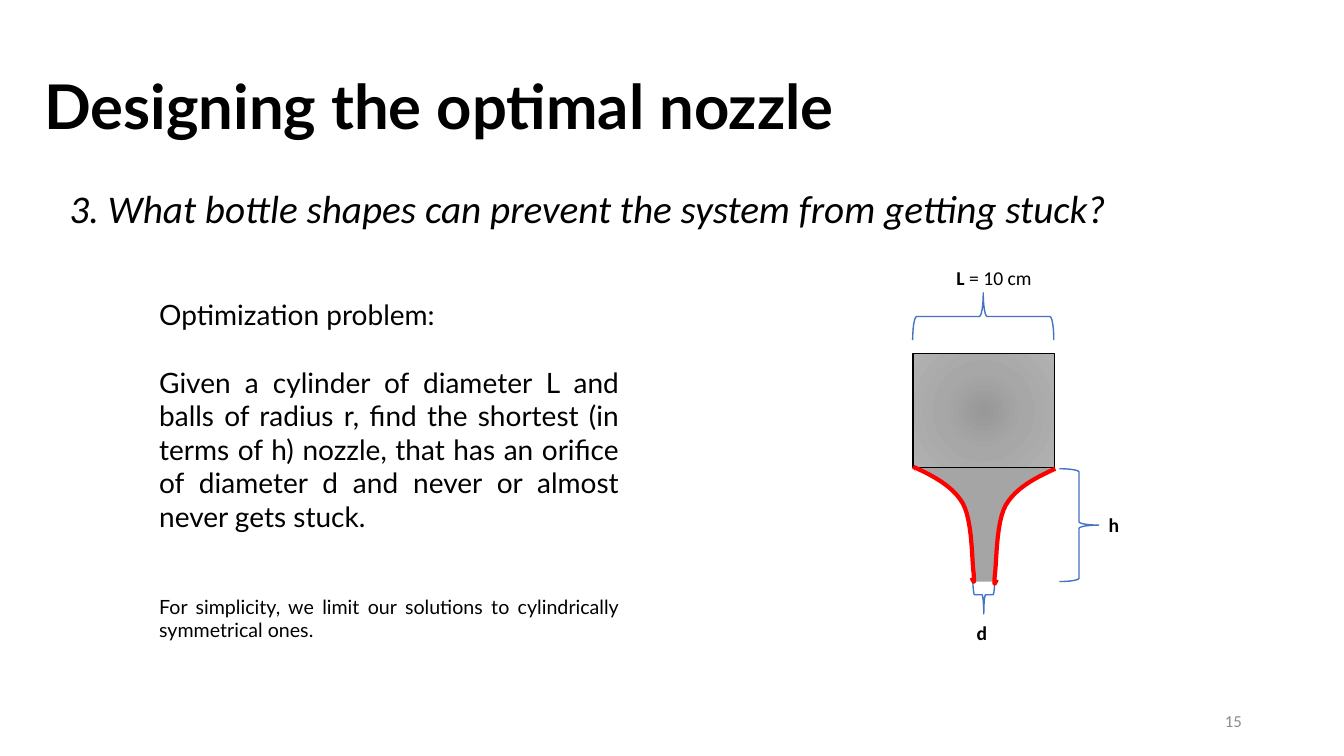
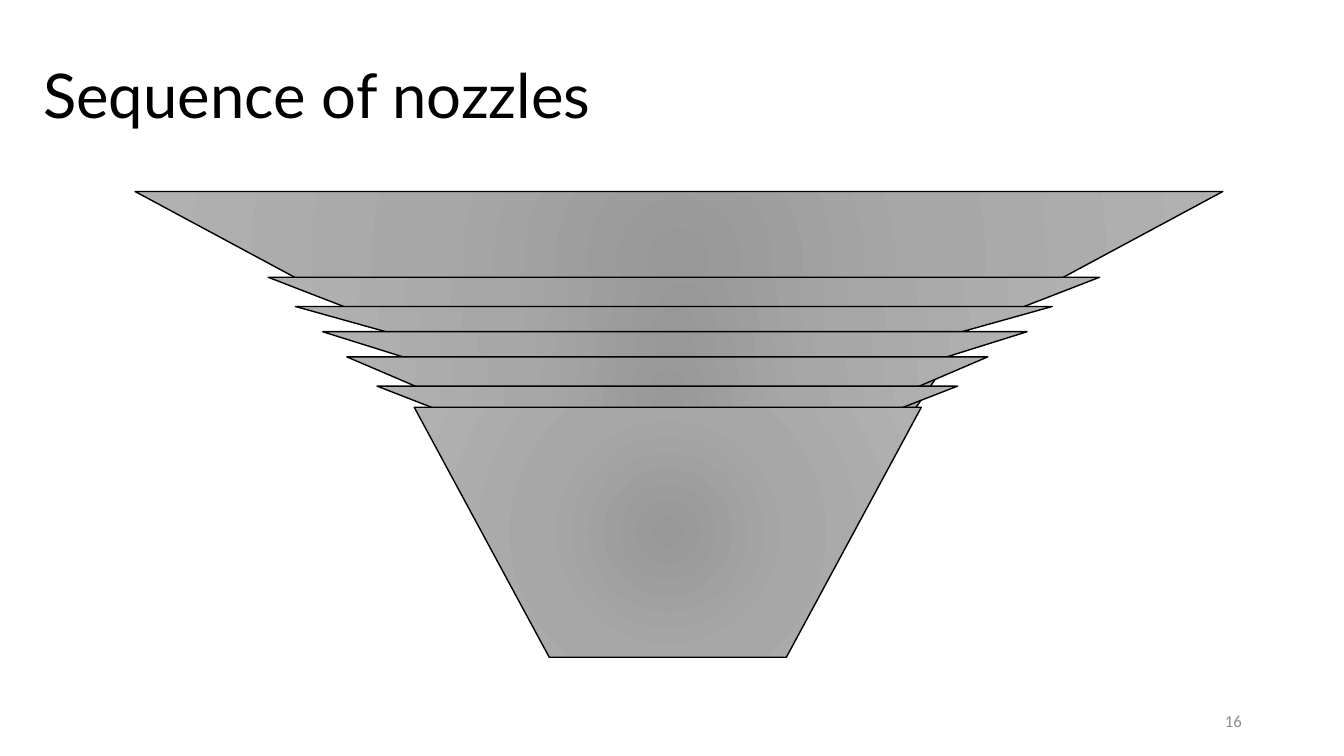
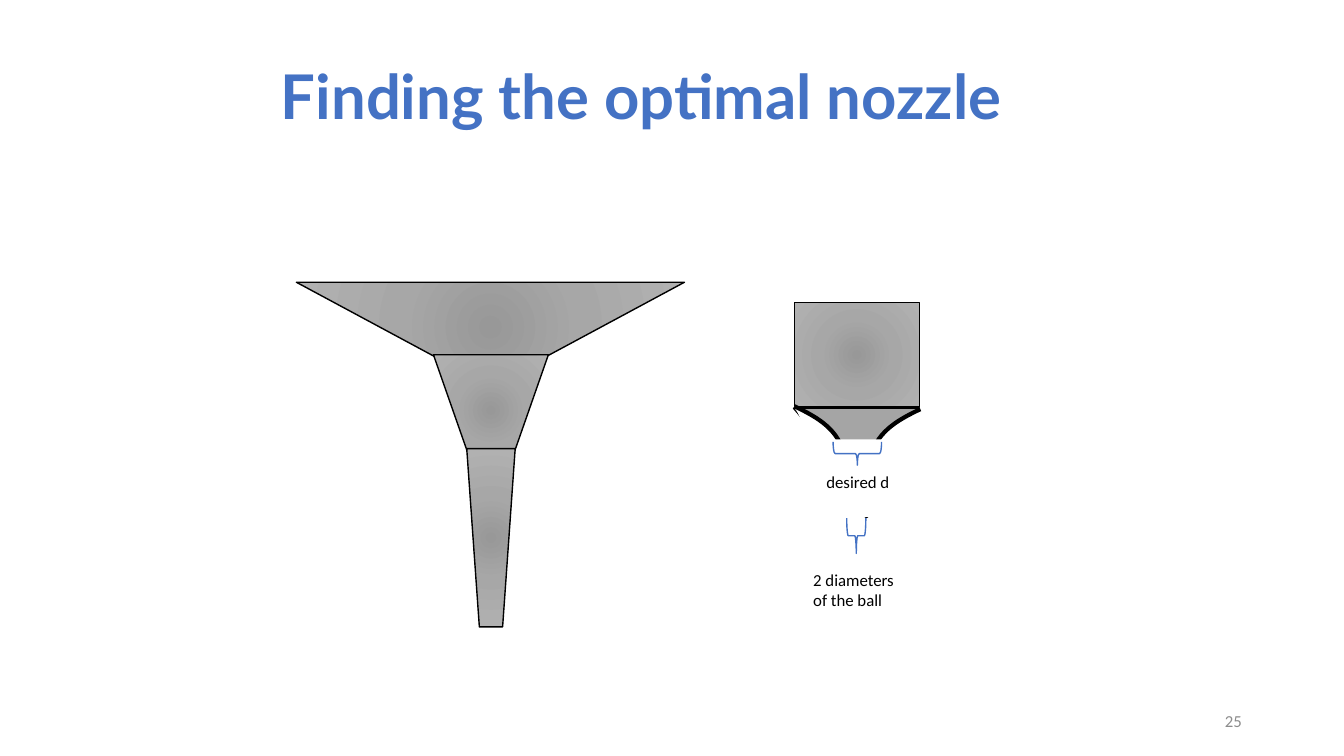
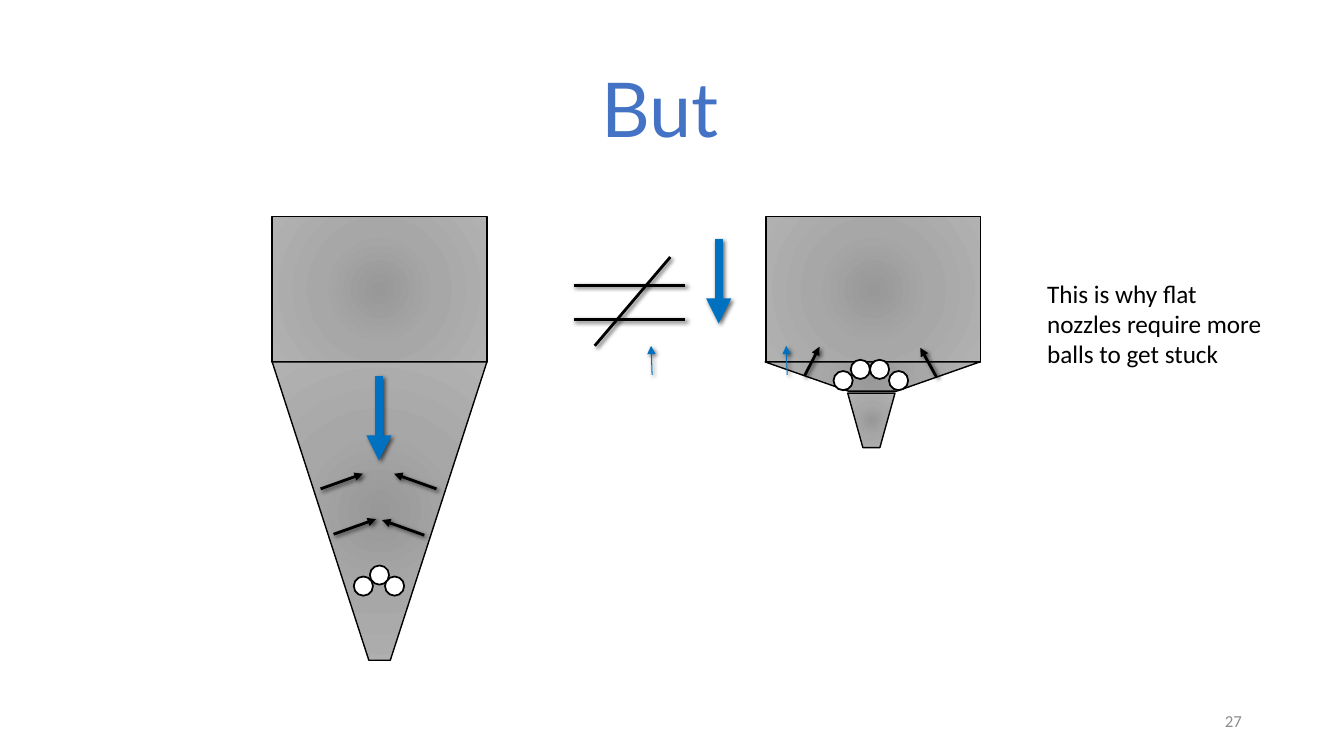
"""Build four slides on finding the optimal nozzle shape."""
from lxml import etree
from pptx import Presentation
from pptx.dml.color import RGBColor
from pptx.enum import shapes, text
from pptx.oxml import ns, parse_xml
from pptx.util import Pt

COLORS = {
    "ink": "000000", "white": "FFFFFF", "accent": "4472C4", "gray": "A5A5A5",
    "number": "8C8C8C", "red": "FF0000", "force": "0070C0",
}
STEEL_STOPS = {0: "989898", 45000: "A7A7A7", 100000: "B1B1B1"}
STEEL = (
    f'<a:gradFill {ns.nsdecls("a")} rotWithShape="1"><a:gsLst>'
    + "".join(f'<a:gs pos="{pos}"><a:srgbClr val="{tone}"/></a:gs>' for pos, tone in STEEL_STOPS.items())
    + '</a:gsLst><a:path path="circle"><a:fillToRect l="50000" t="50000" r="50000" b="50000"/></a:path></a:gradFill>'
)
SHADOW = (
    f'<a:effectLst {ns.nsdecls("a")}><a:outerShdw blurRad="38100" dist="25400" dir="2700000">'
    f'<a:srgbClr val="{COLORS["ink"]}"><a:alpha val="60000"/></a:srgbClr></a:outerShdw></a:effectLst>'
)
KIND = shapes.MSO_SHAPE
ALIGN = text.PP_ALIGN
ANCHOR = text.MSO_ANCHOR


def write(slide, box, lines, size, font="Calibri", color="ink", bold=False, italic=False,
          align=ALIGN.LEFT, anchor=ANCHOR.TOP, leading=None):
    frame = slide.shapes.add_textbox(*map(Pt, box)).text_frame
    frame.word_wrap = True
    frame.vertical_anchor = anchor
    frame.text = "\n".join(lines)
    for paragraph in frame.paragraphs:
        paragraph.alignment = align
        paragraph.line_spacing = leading
        paragraph.font.name = font
        paragraph.font.size = Pt(size)
        paragraph.font.bold = bold
        paragraph.font.italic = italic
        paragraph.font.color.rgb = RGBColor.from_string(COLORS[color])
    return frame.paragraphs


def draw(slide, kind, box, fill="steel", line="ink", weight=1, inset=None, turn=0):
    shape = slide.shapes.add_shape(kind, *map(Pt, box))
    shape.shadow.inherit = False
    shape.rotation = turn
    if inset is not None:
        shape.adjustments[0] = inset
    if fill is None:
        shape.fill.background()
    else:
        shape.fill.solid()
        if fill == "steel":
            properties = shape._element.spPr
            properties.replace(properties.find(ns.qn("a:solidFill")), parse_xml(STEEL))
        else:
            shape.fill.fore_color.rgb = RGBColor.from_string(COLORS[fill])
    if line is None:
        shape.line.fill.background()
    else:
        shape.line.color.rgb = RGBColor.from_string(COLORS[line])
        shape.line.width = Pt(weight)


prs = Presentation()
prs.slide_width, prs.slide_height = Pt(960), Pt(540)

headings = [
    ("15", "Designing the optimal nozzle", (24.5, 0.7, 828, 104.4), 44, "ink", True, ALIGN.LEFT),
    ("16", "Sequence of nozzles", (23.8, -7.2, 828, 104.4), 44, "ink", False, ALIGN.LEFT),
    ("25", "Finding the optimal nozzle", (41, 33.8, 834.5, 64.1), 44, "accent", True, ALIGN.CENTER),
    ("27", "But", (57.6, 8.6, 828, 104.4), 54, "accent", False, ALIGN.CENTER),
]
for number, heading, box, size, color, bold, align in headings:
    slide = prs.slides.add_slide(prs.slide_layouts[6])
    write(slide, box, [heading], size, "Lato", color, bold, align=align, anchor=ANCHOR.BOTTOM, leading=0.85)
    write(slide, (678.2, 500.4, 216, 28.8), [number], 12, color="number", align=ALIGN.RIGHT, anchor=ANCHOR.MIDDLE)
designing, sequence, finding, but = prs.slides

write(designing, (42.5, 131.8, 792, 97.2),
      ["3. What bottle shapes can prevent the system from getting stuck?"], 28, italic=True, leading=0.9)
problem, task, simplification = write(designing, (106.6, 208.8, 342.7, 254.2), [
    "Optimization problem:",
    "Given a cylinder of diameter L and balls of radius r, find the shortest (in terms of h) nozzle, "
    "that has an orifice of diameter d and never or almost never gets stuck.",
    "For simplicity, we limit our solutions to cylindrically symmetrical ones.",
], 20, "Lato")
task.alignment = simplification.alignment = ALIGN.JUSTIFY
task.space_before = Pt(24.4)
simplification.space_before = Pt(44)
simplification.font.size = Pt(14)

draw(designing, KIND.TRAPEZOID, (690.5, 375.1, 25.9, 40.3), "gray", None, inset=0.22, turn=180)
draw(designing, KIND.TRAPEZOID, (651.6, 334.1, 100.8, 44.6), "gray", None, inset=0.84, turn=180)
draw(designing, KIND.RECTANGLE, (652.3, 252.7, 100.8, 81.4))
draw(designing, KIND.LEFT_BRACE, (685.4, 175.7, 33.8, 100.8), None, "accent", turn=90)
draw(designing, KIND.RIGHT_BRACE, (689, 416.9, 27.4, 15.8), None, "accent", turn=90)
draw(designing, KIND.RIGHT_BRACE, (756.7, 334.8, 28.1, 80.6), None, "accent")
write(designing, (690.5, 439.9, 28.1, 24.5), ["d"], 14, bold=True)
write(designing, (784.8, 362.9, 30.2, 24.5), ["h"], 14, bold=True)
diameter = write(designing, (676.1, 186.5, 118.8, 24.5), ["L"], 14)[0]
diameter.runs[0].font.bold = True
diameter.add_run().text = " = 10 cm"

for left, top, width, height, inset in [
    (96.5, 136.8, 776.9, 97.9, 1.86),
    (277.9, 234.7, 414.7, 172.8, 0.68),
    (191.5, 198, 594, 41, 2.58),
    (211, 218.9, 540.7, 29.5, 3.58),
    (230.4, 236.9, 503.3, 23, 3.19),
    (247.7, 254.9, 457.9, 43.9, 2.34),
    (269.3, 275.8, 414.7, 29.5, 2.57),
    (295.9, 290.9, 362.2, 178.6, 0.54),
]:
    draw(sequence, KIND.TRAPEZOID, (left, top, width, height), inset=inset, turn=180)

draw(finding, KIND.TRAPEZOID, (211.7, 201.6, 277.2, 64.1), inset=1.86, turn=180)
draw(finding, KIND.TRAPEZOID, (309.6, 253.4, 82.1, 79.2), inset=0.35, turn=180)
draw(finding, KIND.TRAPEZOID, (333.4, 320.4, 34.6, 127.4), inset=0.26, turn=180)
draw(finding, KIND.TRAPEZOID, (566.6, 291.6, 89.3, 41), "gray", weight=0.75, inset=0.84, turn=180)
draw(finding, KIND.RECTANGLE, (567.4, 216, 89.3, 74.9))

wall = [(0, 0), (14.4, 6.5), (28, 13.7), (35.3, 25.9), (42.5, 38.9),
        (41.8, 67), (43.2, 76.3), (43.9, 85), (43.2, 82), (41.8, 79.2)]
profile = []
for start in range(0, len(wall) - 1, 3):
    for step in range(13):
        t = step / 12
        weights = ((1 - t) ** 3, 3 * t * (1 - t) ** 2, 3 * t * t * (1 - t), t ** 3)
        profile.append([sum(w * point[axis] for w, point in zip(weights, wall[start:start + 4]))
                        for axis in (0, 1)])
for slide, left, top, across, down, color in [
    (designing, 652.3, 333.4, 1, 1, "red"),
    (designing, 753.8, 334.8, -1, 1, "red"),
    (finding, 567.4, 290.2, 0.89, 0.93, "ink"),
    (finding, 657.4, 292.3, -0.89, 0.93, "ink"),
]:
    points = [(Pt(left + across * x), Pt(top + down * y)) for x, y in profile]
    outline = slide.shapes.build_freeform(*points[0])
    outline.add_line_segments(points[1:], close=False)
    nozzle_wall = outline.convert_to_shape()
    nozzle_wall.shadow.inherit = False
    nozzle_wall.fill.solid()
    nozzle_wall.fill.fore_color.rgb = RGBColor.from_string(COLORS["white"])
    nozzle_wall.line.color.rgb = RGBColor.from_string(COLORS[color])
    nozzle_wall.line.width = Pt(3)

draw(finding, KIND.RECTANGLE, (566.6, 313.9, 93.6, 55.4), "white", None)
draw(finding, KIND.RIGHT_BRACE, (604.1, 306.7, 16.6, 34.6), None, "accent", turn=90)
draw(finding, KIND.RIGHT_BRACE, (599, 375.8, 25.2, 13.7), None, "accent", turn=90)
write(finding, (583.2, 333.4, 74.9, 21.6), ["desired d"], 12)
write(finding, (573.8, 403.2, 74.9, 36), ["2 diameters of the ball"], 12)

for bottle_left in (194.4, 547.2):
    draw(but, KIND.RECTANGLE, (bottle_left, 154.8, 153.4, 103.7))
draw(but, KIND.TRAPEZOID, (194.4, 258.5, 153.4, 213.1), inset=0.45, turn=180)
draw(but, KIND.TRAPEZOID, (546.5, 258.5, 153.4, 20.9), inset=2.85, turn=180)
draw(but, KIND.TRAPEZOID, (605.5, 280.8, 33.8, 38.9), inset=0.32, turn=180)

wall_forces = [
    (229, 349.2, 259.2, 338.4), (311.8, 349.2, 281.5, 338.4),
    (238.3, 381.6, 268.6, 370.8), (303.1, 382.3, 272.9, 371.5),
    (574.6, 268.6, 585.4, 247.7), (668.9, 269.3, 657.4, 248.4),
]
pressures = [(270.7, 268.6, 270.7, 329), (513.4, 170.6, 513.4, 231.1)]
reactions = [(465.8, 267.8, 465.1, 247), (562.3, 267.8, 561.6, 247)]
unequal_sign = [(409.7, 203.8, 489.6, 203.8), (409.7, 228.2, 489.6, 228.2), (424.8, 247, 478.8, 183.6)]
for strokes, color, weight, arrow in [
    (wall_forces, "ink", 2, True),
    (pressures, "force", 6, True),
    (reactions, "force", 0.75, True),
    (unequal_sign, "ink", 2, False),
]:
    for ends in strokes:
        stroke = but.shapes.add_connector(shapes.MSO_CONNECTOR.STRAIGHT, *map(Pt, ends))
        stroke.line.color.rgb = RGBColor.from_string(COLORS[color])
        stroke.line.width = Pt(weight)
        if arrow:
            etree.SubElement(stroke.line._get_or_add_ln(), ns.qn("a:tailEnd"), type="triangle")
        stroke._element.spPr.append(parse_xml(SHADOW))

for left, top in [(252.7, 411.8), (275, 411.8), (264.2, 403.9),
                  (595.4, 265), (635, 265), (607.7, 257), (621.4, 257)]:
    draw(but, KIND.OVAL, (left, top, 13.7, 13.7), "white", weight=1.25)
write(but, (740.9, 195.1, 175, 72.7), ["This is why flat nozzles require more balls to get stuck"], 18)

prs.save("out.pptx")
